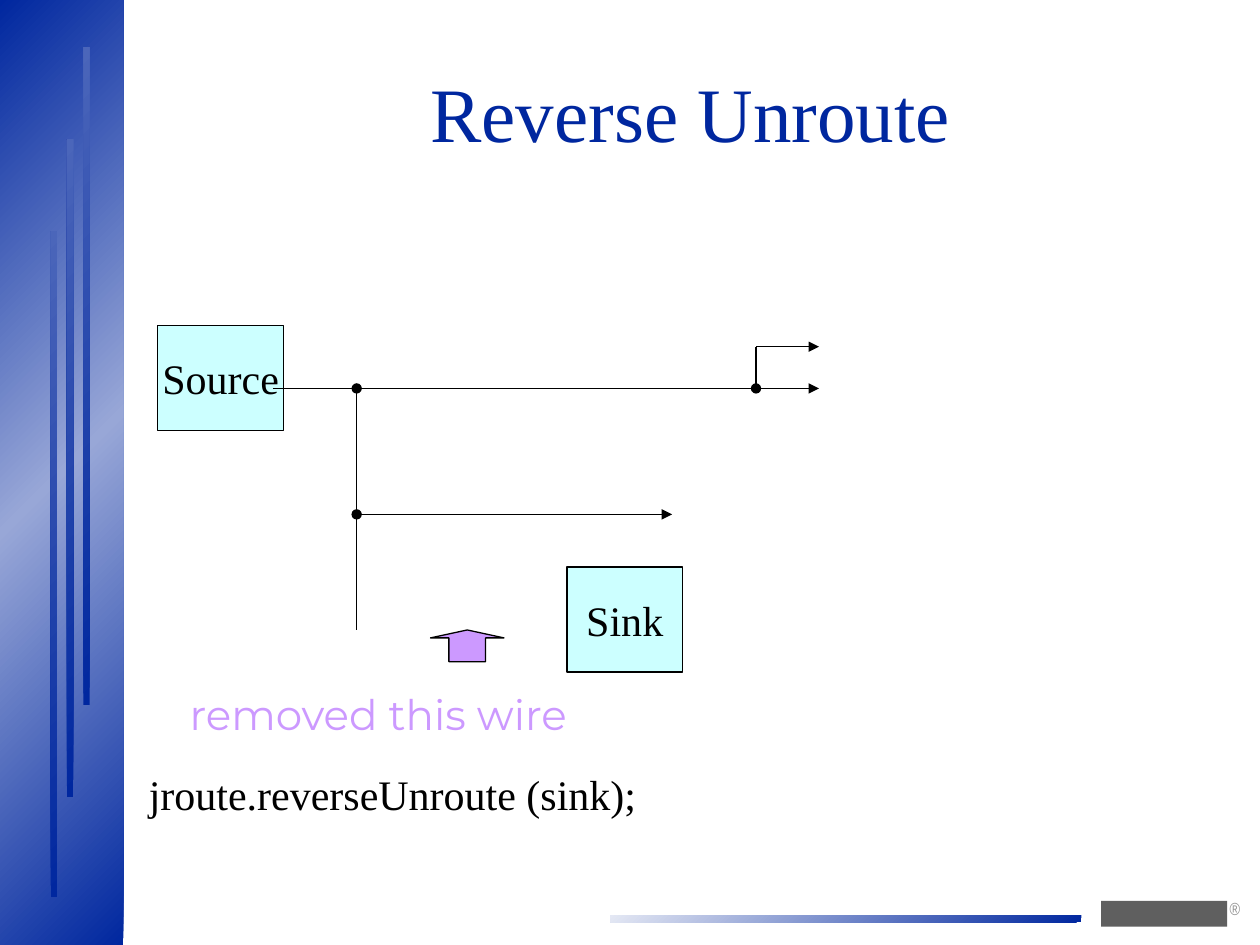
from lxml.etree import SubElement
from pptx import Presentation
from pptx.dml.color import RGBColor
from pptx.enum.shapes import MSO_CONNECTOR, MSO_SHAPE
from pptx.enum.text import MSO_ANCHOR, PP_ALIGN
from pptx.oxml.ns import qn
from pptx.util import Cm, Pt

NAVY = RGBColor(0x00, 0x27, 0x9F)
MID_BLUE = RGBColor(0x4B, 0x66, 0xBA)
LIGHT_BLUE = RGBColor(0x98, 0xA7, 0xD7)
PALE_BLUE = RGBColor(0xE4, 0xE8, 0xF4)
CYAN = RGBColor(0xCC, 0xFF, 0xFF)
LILAC = RGBColor(0xCC, 0x99, 0xFF)
DARK_GREY = RGBColor(0x5F, 0x5F, 0x5F)
GREY = RGBColor(0x91, 0x91, 0x91)
BLACK = RGBColor(0x00, 0x00, 0x00)
SERIF = "Times New Roman"


def add_block(slide, kind, x, y, w, h, fill=None, outlined=True):
    """Add a shape without shadow, with an optional solid fill and thin outline."""
    s = slide.shapes.add_shape(kind, Cm(x), Cm(y), Cm(w), Cm(h))
    s.shadow.inherit = False
    if fill is not None:
        s.fill.solid()
        s.fill.fore_color.rgb = fill
    if outlined:
        s.line.color.rgb = BLACK
        s.line.width = Pt(0.75)
    else:
        s.line.fill.background()
    return s


def add_gradient_bar(slide, x, y, w, h, *colors):
    """Add a borderless bar with evenly spaced diagonal gradient stops."""
    s = add_block(slide, MSO_SHAPE.RECTANGLE, x, y, w, h, outlined=False)
    s.fill.gradient()
    s.fill.gradient_angle = 135
    stops = s._element.spPr.find(".//" + qn("a:gsLst"))
    for stop in list(stops):
        stops.remove(stop)
    for i, color in enumerate(colors):
        stop = SubElement(stops, qn("a:gs"), pos=str(100000 * i // (len(colors) - 1)))
        SubElement(stop, qn("a:srgbClr"), val=str(color))


def format_text(tf, text, size, color, font=SERIF, align=PP_ALIGN.LEFT):
    """Set the text of a frame and format its only run."""
    tf.text = text
    p = tf.paragraphs[0]
    p.alignment = align
    r = p.runs[0]
    r.font.size = Pt(size)
    r.font.name = font
    r.font.color.rgb = color


def add_node(slide, text, x, y, w, h):
    """Add a labelled circuit block."""
    s = add_block(slide, MSO_SHAPE.RECTANGLE, x, y, w, h, CYAN)
    tf = s.text_frame
    tf.word_wrap = False
    tf.vertical_anchor = MSO_ANCHOR.MIDDLE
    format_text(tf, text, 24, BLACK, align=PP_ALIGN.CENTER)


def add_label(slide, text, x, y, w, h, color, size=24, font=SERIF, align=PP_ALIGN.LEFT):
    """Add an unwrapped line of text."""
    tf = slide.shapes.add_textbox(Cm(x), Cm(y), Cm(w), Cm(h)).text_frame
    tf.word_wrap = False
    format_text(tf, text, size, color, font, align)
    return tf


def add_wire(slide, x1, y1, x2, y2, dot=False, arrow=False):
    """Add a wire, optionally with a junction dot at its start and an arrow at its end."""
    c = slide.shapes.add_connector(MSO_CONNECTOR.STRAIGHT, Cm(x1), Cm(y1), Cm(x2), Cm(y2))
    c.line.color.rgb = BLACK
    c.line.width = Pt(0.75)
    ln = c.line._get_or_add_ln()
    if dot:
        SubElement(ln, qn("a:headEnd"), type="oval")
    if arrow:
        SubElement(ln, qn("a:tailEnd"), type="triangle")
    SubElement(c._element.spPr, qn("a:effectLst"))


def add_decoration(slide):
    """Add the side panel with its stripes, the footer bar and the mark beside it."""
    add_gradient_bar(slide, 0, 0, 2.49, 19.05, NAVY, LIGHT_BLUE, NAVY)
    for i, height in enumerate((13.41, 13.26, 13.26)):
        add_gradient_bar(slide, 1.02 + 0.33 * i, 4.67 - 1.86 * i, 0.13, height, NAVY, MID_BLUE)
    add_gradient_bar(slide, 12.3, 18.45, 9.5, 0.14, NAVY, PALE_BLUE)
    add_block(slide, MSO_SHAPE.RECTANGLE, 22.2, 18.16, 2.54, 0.52, DARK_GREY, outlined=False)
    tf = add_label(slide, "®", 24.54, 17.98, 0.66, 0.69, GREY, 10, "Arial Narrow")
    tf.paragraphs[0].space_before = Pt(6.2)


def add_title(slide, text):
    """Place and format the title placeholder."""
    s = slide.shapes.title
    s.left, s.top, s.width, s.height = Cm(2.73), Cm(0.81), Cm(22.38), Cm(3.18)
    s.text_frame.vertical_anchor = MSO_ANCHOR.MIDDLE
    format_text(s.text_frame, text, 44, NAVY, align=PP_ALIGN.CENTER)
    s.text_frame.paragraphs[0].line_spacing = 0.85


def add_circuit(slide):
    """Add the source, the sink and the wires between them."""
    main_y, branch_y, upper_y, end_y = 7.83, 10.37, 6.99, 12.7
    left_x, right_x, out_x = 7.19, 15.24, 16.51
    add_node(slide, "Source", 3.18, 6.56, 2.54, 2.12)
    add_node(slide, "Sink", 11.43, 11.43, 2.33, 2.12)
    add_wire(slide, 5.5, main_y, out_x, main_y, arrow=True)
    add_wire(slide, left_x, main_y, left_x, branch_y, dot=True)
    add_wire(slide, left_x, branch_y, 13.55, branch_y, dot=True, arrow=True)
    add_wire(slide, right_x, main_y, right_x, upper_y, dot=True)
    add_wire(slide, right_x, upper_y, out_x, upper_y, arrow=True)
    add_wire(slide, left_x, branch_y, left_x, end_y)


def main():
    """Build the slide and save it."""
    prs = Presentation()
    prs.slide_width, prs.slide_height = Cm(25.4), Cm(19.05)
    slide = prs.slides.add_slide(prs.slide_layouts[5])
    add_decoration(slide)
    add_title(slide, "Reverse Unroute")
    add_circuit(slide)
    add_label(slide, "jroute.reverseUnroute (sink);", 2.75, 15.37, 10.34, 1.27, BLACK)
    add_label(slide, "removed this wire", 3.18, 13.76, 8.89, 1.06, LILAC,
              font="Montserrat", align=PP_ALIGN.CENTER)
    s = add_block(slide, MSO_SHAPE.UP_ARROW, 8.68, 12.7, 1.48, 0.64, LILAC)
    s.adjustments[0] = 0.5
    s.adjustments[1] = 0.25
    prs.save("out.pptx")


if __name__ == "__main__":
    main()
